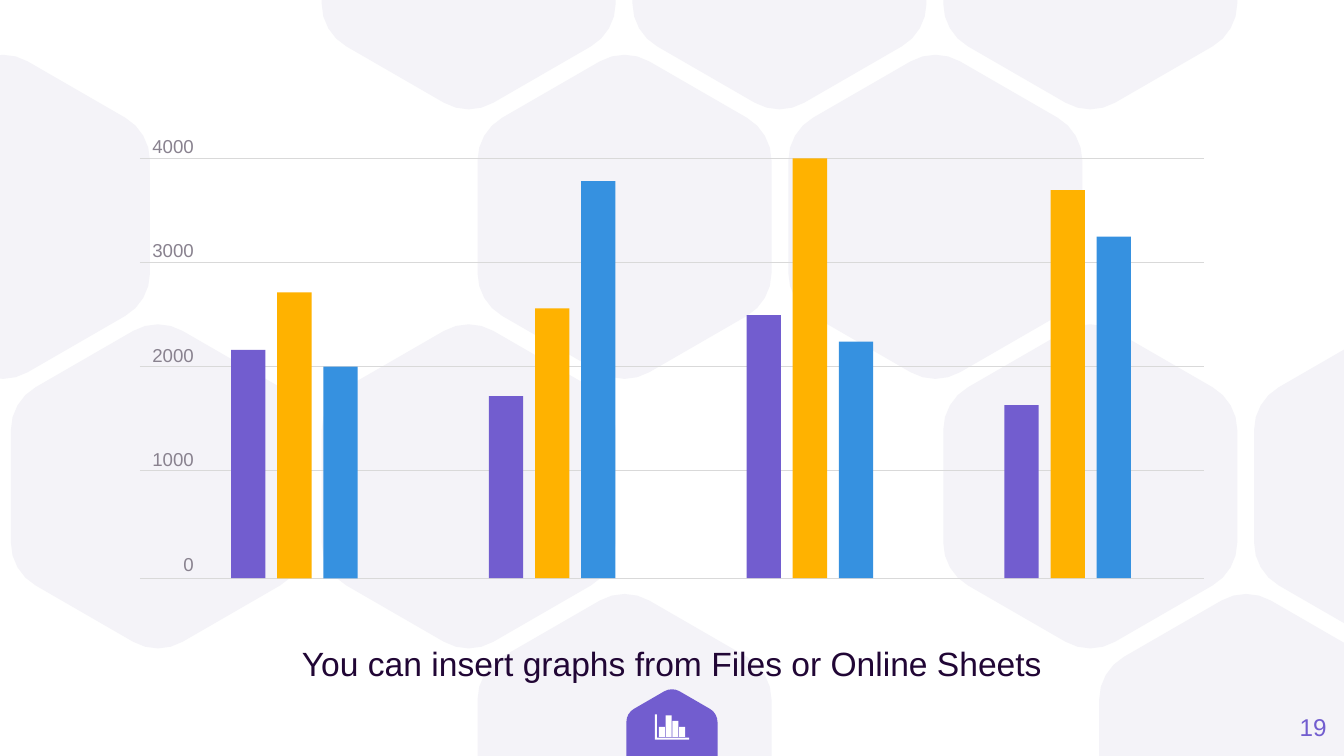
from math import cos, radians, sin

from lxml import etree
from pptx import Presentation
from pptx import util as u
from pptx.dml.color import RGBColor
from pptx.enum import shapes, text
from pptx.oxml.ns import qn

Pt = u.Pt
WIDTH, HEIGHT = 720, 405
COLORS = {
    "pattern": "F4F3F8",
    "purple": "725DCF",
    "yellow": "FFB200",
    "blue": "3691E0",
    "grid": "D9D9D9",
    "label": "89828F",
    "caption": "210635",
    "white": "FFFFFF",
}
# Control points of the rounded top corner, measured from the hexagon's centre
CORNER = [(-13.2, -83.3), (-5.2, -88), (5.2, -88), (13.2, -83.3)]
CORNER_STEPS = 4

COLUMN_STEP, ROW_STEP = 166.5, 144.4
# Hexagon rows from top to bottom: first centre x, columns in use
HEXAGON_ROWS = [
    (84.6, (1, 2, 3)),
    (1.6, (0, 2, 3)),
    (84.6, (0, 1, 3, 4)),
    (1.6, (2, 4)),
]

AXIS_LEFT, AXIS_RIGHT, BASELINE = 75, 645, 309.8
GRID_LINES = [84.8, 140.6, 196.4, 252, BASELINE]
BAR_HEIGHTS = [
    (122.3, 153.2, 113.4),
    (97.5, 144.6, 212.7),
    (140.9, 225, 126.7),
    (92.7, 207.9, 183),
]


def color(name):
    return RGBColor.from_string(COLORS[name])


def style(shape, fill):
    shape.shadow.inherit = False
    shape.fill.solid()
    shape.fill.fore_color.rgb = color(fill)
    shape.line.fill.background()


def add_polygon(slide, points, fill):
    corners = [(Pt(x), Pt(y)) for x, y in points]
    builder = slide.shapes.build_freeform(*corners[0], scale=1.0)
    builder.add_line_segments(corners[1:], close=True)
    style(builder.convert_to_shape(), fill)


def corner_curve():
    """Return points along the cubic curve of the top corner."""
    points = []
    for step in range(CORNER_STEPS + 1):
        t = step / CORNER_STEPS
        weights = ((1 - t) ** 3, 3 * t * (1 - t) ** 2, 3 * t * t * (1 - t), t ** 3)
        points.append(tuple(
            sum(weight * point[axis] for weight, point in zip(weights, CORNER))
            for axis in (0, 1)
        ))
    return points


def cut_to_slide(points):
    """Cut an outline whose sides cross the top or bottom edge vertically."""
    inside = [0 <= y <= HEIGHT for _, y in points]
    count = len(points)
    return [
        (x, min(max(y, 0), HEIGHT)) for index, (x, y) in enumerate(points)
        if inside[index - 1] or inside[index] or inside[(index + 1) % count]
    ]


def add_hexagon(slide, center_x, center_y, fill, scale=1.0):
    points = []
    for turn in range(6):
        angle = radians(60 * turn)
        for x, y in corner_curve():
            points.append((
                center_x + scale * (x * cos(angle) - y * sin(angle)),
                center_y + scale * (x * sin(angle) + y * cos(angle)),
            ))
    add_polygon(slide, cut_to_slide(points), fill)


def add_bar(slide, left, baseline, width, height, fill):
    bar = slide.shapes.add_shape(
        shapes.MSO_SHAPE.RECTANGLE,
        Pt(left), Pt(baseline - height), Pt(width), Pt(height))
    style(bar, fill)


def add_grid_line(slide, y):
    line = slide.shapes.add_connector(
        shapes.MSO_CONNECTOR.STRAIGHT, Pt(AXIS_LEFT), Pt(y), Pt(AXIS_RIGHT), Pt(y))
    line.line.color.rgb = color("grid")
    line.line.width = Pt(0.75)
    etree.SubElement(line._element.spPr, qn("a:effectLst"))


def add_text(slide, box, content, size, fill, alignment):
    """Add a text box without margins and return its text frame."""
    frame = slide.shapes.add_textbox(*(Pt(length) for length in box)).text_frame
    frame.margin_left = frame.margin_right = 0
    frame.margin_top = frame.margin_bottom = 0
    frame.word_wrap = True
    frame.text = content
    for paragraph in frame.paragraphs:
        paragraph.alignment = alignment
        for run in paragraph.runs:
            run.font.name = "Arial"
            run.font.size = Pt(size)
            run.font.color.rgb = color(fill)
    return frame


def add_background(slide):
    for row, (first_x, columns) in enumerate(HEXAGON_ROWS):
        for column in columns:
            add_hexagon(slide, first_x + column * COLUMN_STEP,
                        -28.2 + row * ROW_STEP, "pattern")


def add_bar_graph(slide):
    for y in GRID_LINES:
        add_grid_line(slide, y)
    labels = add_text(slide, (AXIS_LEFT, 72, 28.8, 238),
                      "4000\n3000\n2000\n1000\n0", 10, "label",
                      text.PP_ALIGN.RIGHT)
    for paragraph in labels.paragraphs[1:]:
        paragraph.space_before = Pt(44)
    for group, heights in enumerate(BAR_HEIGHTS):
        for series, (height, fill) in enumerate(
                zip(heights, ("purple", "yellow", "blue"))):
            add_bar(slide, 123.8 + group * 138.1 + series * 24.7, BASELINE,
                    18.4, height, fill)


def add_graph_icon(slide):
    left, top, right, bottom, thickness = 350.8, 382.7, 369.2, 396.3, 1.1
    add_polygon(slide, [
        (left, top), (left + thickness, top),
        (left + thickness, bottom - thickness), (right, bottom - thickness),
        (right, bottom), (left, bottom),
    ], "white")
    for index, height in enumerate((5.4, 11.5, 8.6, 5.4)):
        add_bar(slide, 353 + index * 3.62, 394.8, 3.2, height, "white")


def main():
    presentation = Presentation()
    presentation.slide_width, presentation.slide_height = Pt(WIDTH), Pt(HEIGHT)
    slide = presentation.slides.add_slide(presentation.slide_layouts[6])

    add_background(slide)
    add_hexagon(slide, 360, 396.2, "purple", scale=0.31)
    caption = add_text(slide, (67.5, 341.3, 585, 22.3),
                       "You can insert graphs from Files or Online Sheets",
                       18, "caption", text.PP_ALIGN.CENTER)
    caption.paragraphs[0].line_spacing = 1.15
    caption.paragraphs[0].space_after = Pt(8)
    number = add_text(slide, (667.5, 373.7, 43.2, 31), "19", 13, "purple",
                      text.PP_ALIGN.RIGHT)
    number.vertical_anchor = text.MSO_ANCHOR.MIDDLE
    add_bar_graph(slide)
    add_graph_icon(slide)

    presentation.save("out.pptx")


if __name__ == "__main__":
    main()
